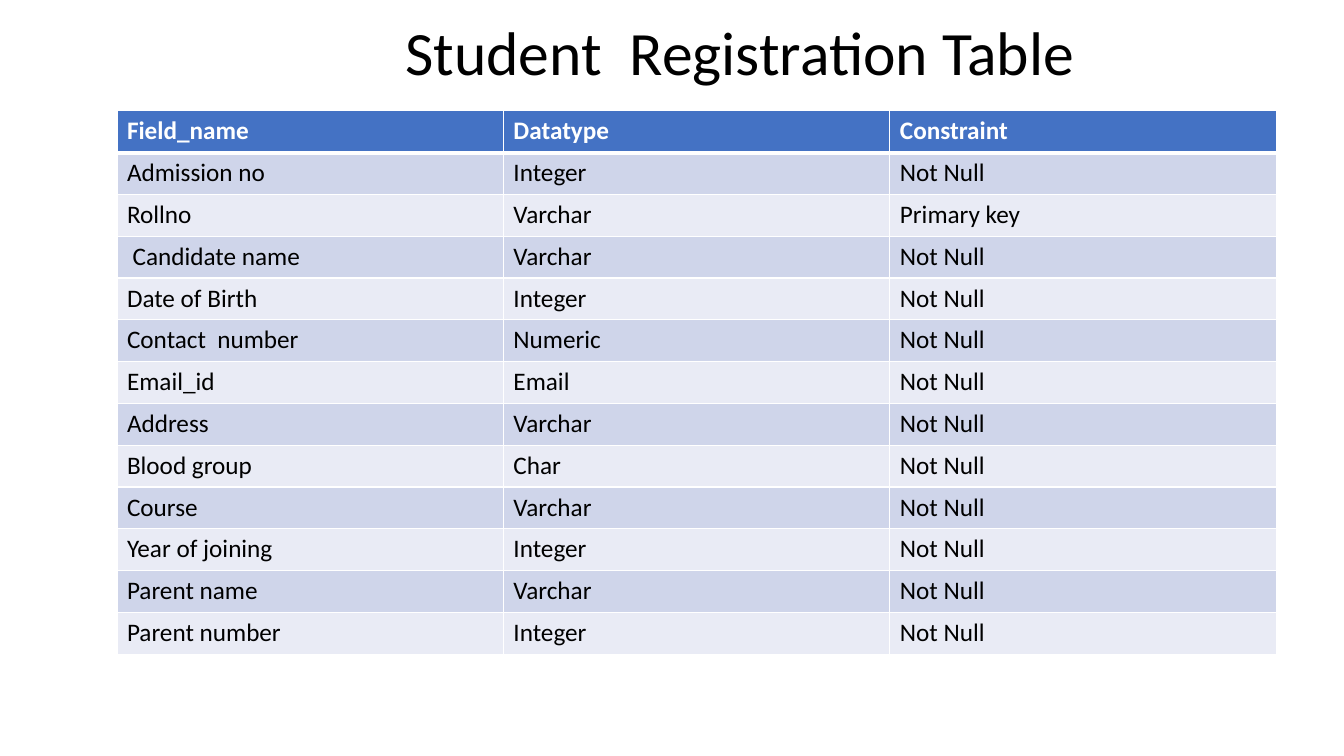
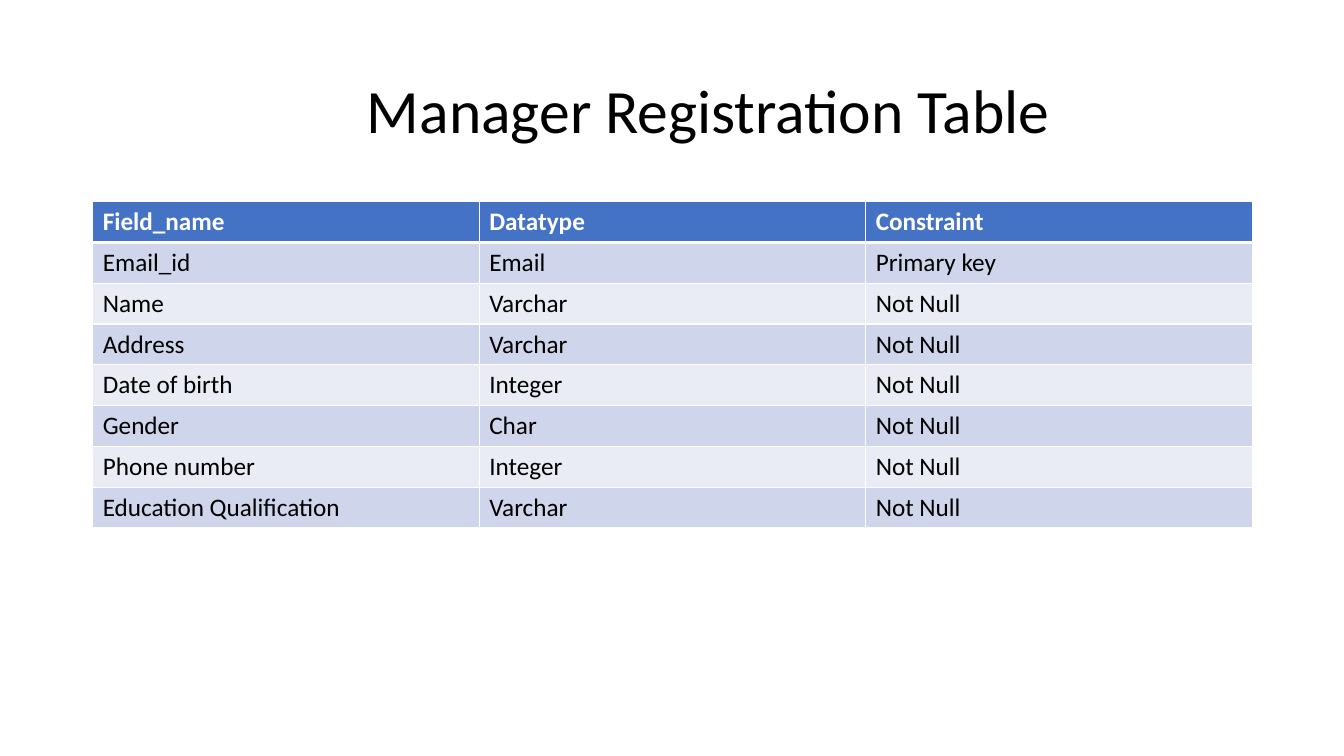
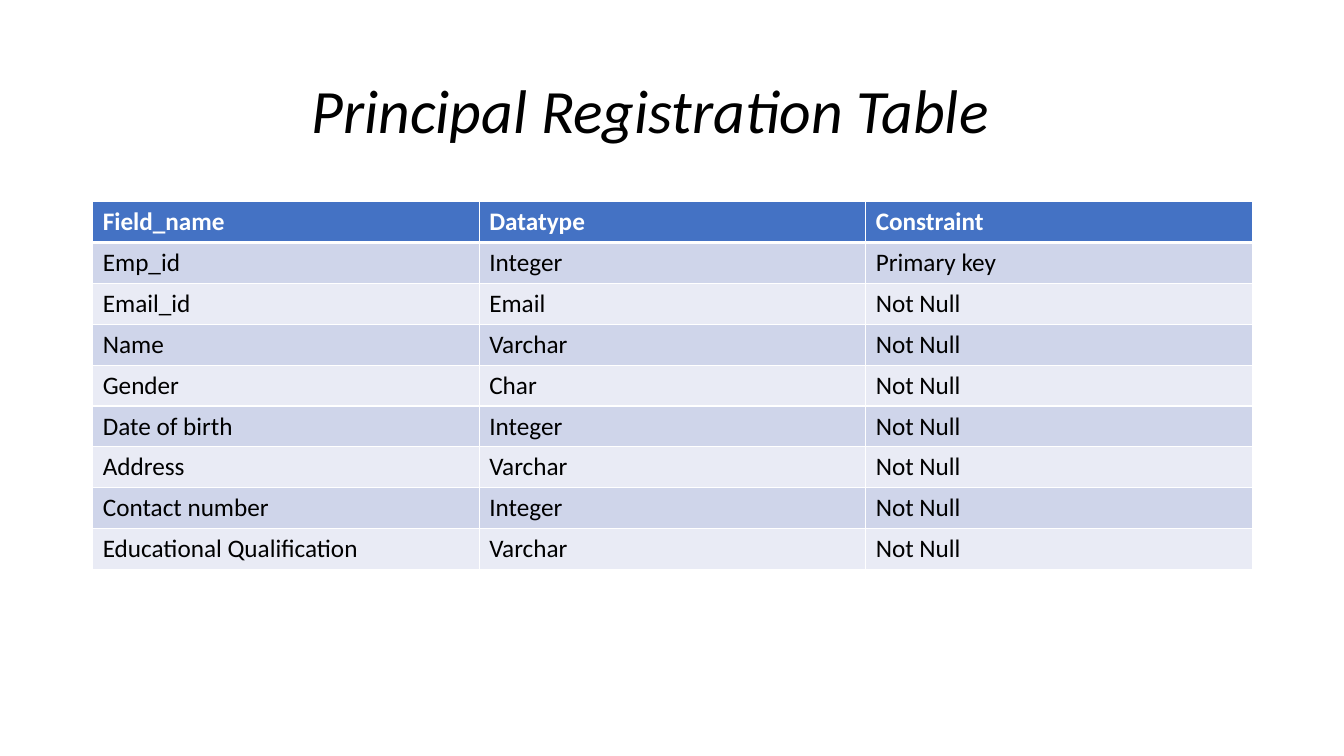
from lxml.etree import SubElement
from pptx import Presentation
from pptx.dml.color import RGBColor
from pptx.enum.text import MSO_ANCHOR
from pptx.oxml.ns import qn
from pptx.util import Inches, Pt

# Content: field, datatype, constraint
HEADER = ("Field_name", "Datatype", "Constraint")
NOT_NULL, PRIMARY = "Not Null", "Primary key"

STUDENT = [
    ("Admission no", "Integer", NOT_NULL),
    ("Rollno", "Varchar", PRIMARY),
    (" Candidate name", "Varchar", NOT_NULL),
    ("Date of Birth", "Integer", NOT_NULL),
    ("Contact  number", "Numeric", NOT_NULL),
    ("Email_id", "Email", NOT_NULL),
    ("Address", "Varchar", NOT_NULL),
    ("Blood group", "Char", NOT_NULL),
    ("Course", "Varchar", NOT_NULL),
    ("Year of joining", "Integer", NOT_NULL),
    ("Parent name", "Varchar", NOT_NULL),
    ("Parent number", "Integer", NOT_NULL),
]
MANAGER = [
    ("Email_id", "Email", PRIMARY),
    ("Name", "Varchar", NOT_NULL),
    ("Address", "Varchar", NOT_NULL),
    ("Date of birth", "Integer", NOT_NULL),
    ("Gender", "Char", NOT_NULL),
    ("Phone number", "Integer", NOT_NULL),
    ("Education Qualification", "Varchar", NOT_NULL),
]
PRINCIPAL = [
    ("Emp_id", "Integer", PRIMARY),
    ("Email_id", "Email", NOT_NULL),
    ("Name", "Varchar", NOT_NULL),
    ("Gender", "Char", NOT_NULL),
    ("Date of birth", "Integer", NOT_NULL),
    ("Address", "Varchar", NOT_NULL),
    ("Contact number", "Integer", NOT_NULL),
    ("Educational Qualification", "Varchar", NOT_NULL),
]

# Lengths in inches
SLIDES = [
    dict(title="Student  Registration Table", indent=2.76, italic=False,
         left=1.16, title_top=-0.17, table_top=1.1, height=5.39, rows=STUDENT),
    dict(title="Manager Registration Table", indent=2.62, italic=False,
         left=0.92, title_top=0.4, table_top=2, height=3.24, rows=MANAGER),
    dict(title="Principal Registration Table", indent=2.07, italic=True,
         left=0.92, title_top=0.4, table_top=2, height=3.65, rows=PRINCIPAL),
]

# Shared style
FONT = "Calibri"
WHITE = RGBColor(0xFF, 0xFF, 0xFF)
BLACK = RGBColor(0x00, 0x00, 0x00)
HEADER_BLUE = RGBColor(0x44, 0x72, 0xC4)
BANDS = (RGBColor(0xCF, 0xD5, 0xEA), RGBColor(0xE9, 0xEB, 0xF5))
SLIDE_WIDTH, SLIDE_HEIGHT = 13.33, 7.5
CONTENT_WIDTH, TITLE_HEIGHT = 11.5, 1.45
THIN, THICK = 1, 3


def add_run(paragraph, text, size, color, bold=False, italic=False):
    run = paragraph.add_run()
    run.text = text
    font = run.font
    font.name, font.size = FONT, Pt(size)
    font.bold, font.italic = bold, italic
    font.color.rgb = color


def add_title(slide, title, indent, italic, left, top):
    box = slide.shapes.add_textbox(Inches(left), Inches(top),
                                   Inches(CONTENT_WIDTH), Inches(TITLE_HEIGHT))
    frame = box.text_frame
    frame.word_wrap = True
    frame.vertical_anchor = MSO_ANCHOR.MIDDLE
    paragraph = frame.paragraphs[0]
    paragraph.line_spacing = 0.9
    paragraph._p.get_or_add_pPr().set("marL", str(Inches(indent)))
    add_run(paragraph, title, 44, BLACK, italic=italic)


def set_borders(cell, top, bottom):
    properties = cell._tc.get_or_add_tcPr()
    for side, width in (("L", THIN), ("R", THIN), ("T", top), ("B", bottom)):
        line = SubElement(properties, qn(f"a:ln{side}"), w=str(Pt(width)))
        fill = SubElement(line, qn("a:solidFill"))
        SubElement(fill, qn("a:srgbClr"), val=str(WHITE))


def add_field_table(slide, rows, left, top, height):
    rows = [HEADER, *rows]
    table = slide.shapes.add_table(len(rows), len(HEADER), Inches(left), Inches(top),
                                   Inches(CONTENT_WIDTH), Inches(height)).table
    for row_index, row in enumerate(rows):
        is_header = row_index == 0
        for column_index, text in enumerate(row):
            cell = table.cell(row_index, column_index)
            # The heavy rule lies between the header and the first field
            set_borders(cell, top=THICK if row_index == 1 else THIN,
                        bottom=THICK if is_header else THIN)
            cell.fill.solid()
            cell.fill.fore_color.rgb = (HEADER_BLUE if is_header
                                        else BANDS[(row_index - 1) % 2])
            add_run(cell.text_frame.paragraphs[0], text, 18,
                    WHITE if is_header else BLACK, bold=is_header)


def main():
    presentation = Presentation()
    presentation.slide_width = Inches(SLIDE_WIDTH)
    presentation.slide_height = Inches(SLIDE_HEIGHT)
    blank = presentation.slide_layouts[6]
    for item in SLIDES:
        slide = presentation.slides.add_slide(blank)
        add_title(slide, item["title"], item["indent"], item["italic"],
                  item["left"], item["title_top"])
        add_field_table(slide, item["rows"], item["left"], item["table_top"],
                        item["height"])
    presentation.save("out.pptx")


if __name__ == "__main__":
    main()
